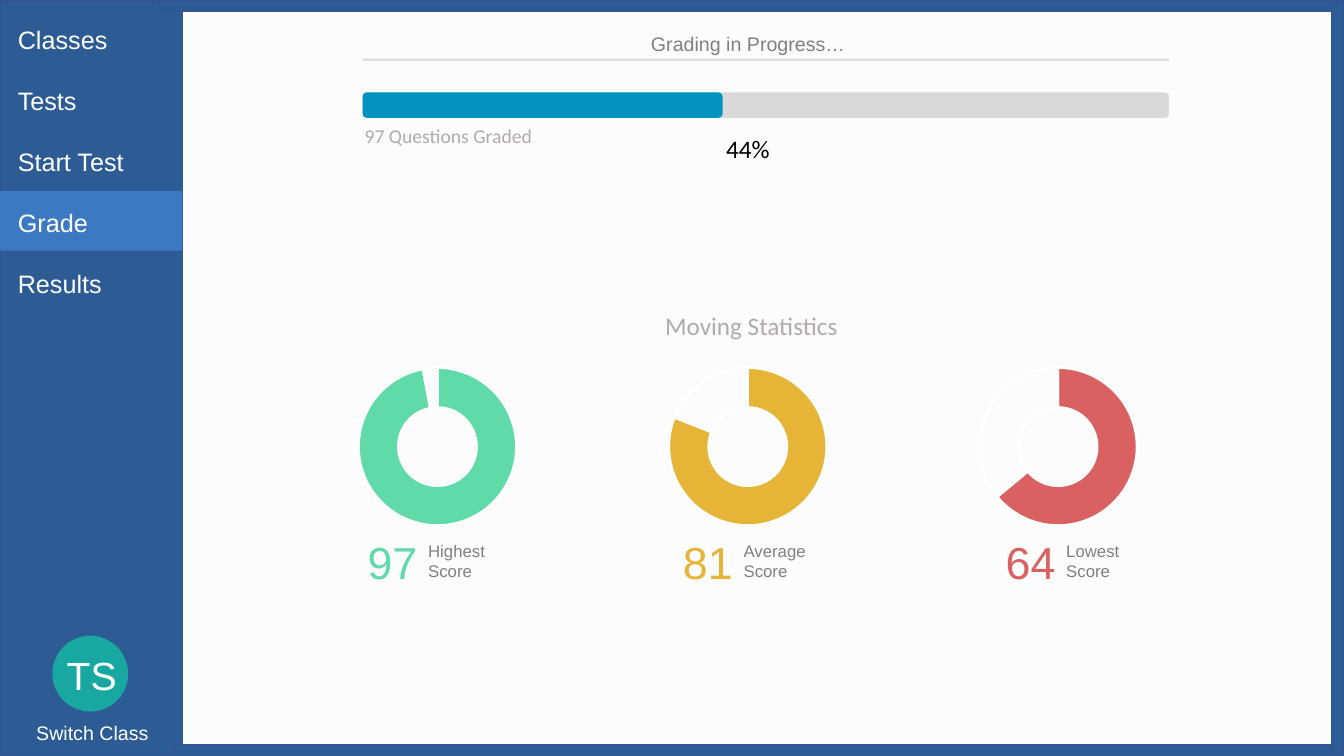
from pptx import Presentation
from pptx.chart.data import CategoryChartData
from pptx.dml.color import RGBColor
from pptx.enum import chart as charts, shapes, text
from pptx.util import Cm, Pt

COLORS = {
    "page": "FCFCFC", "frame": "2D5B93", "frame_edge": "325491",
    "selected": "3C79C2", "avatar": "18A8A1", "track": "D9D9D9",
    "progress": "0092C0", "gray": "808080", "pale": "AFABAB",
    "white": "FFFFFF", "black": "000000",
    "highest": "60DAA9", "average": "E6B436", "lowest": "D96161",
}
LEFT, CENTER, RIGHT = text.PP_ALIGN.LEFT, text.PP_ALIGN.CENTER, text.PP_ALIGN.RIGHT
RECT = shapes.MSO_SHAPE.RECTANGLE
ROUNDED = shapes.MSO_SHAPE.ROUNDED_RECTANGLE
OVAL = shapes.MSO_SHAPE.OVAL


def add_panel(kind, box, color, edge=None):
    panel = slide.shapes.add_shape(kind, *map(Cm, box))
    panel.shadow.inherit = False
    panel.fill.solid()
    panel.fill.fore_color.rgb = RGBColor.from_string(COLORS[color])
    if edge:
        panel.line.color.rgb = RGBColor.from_string(COLORS[edge])
        panel.line.width = Pt(1)
    else:
        panel.line.fill.background()


def write(holder, box, lines, size, color, font="Arial", align=LEFT, gap=0):
    holder.left, holder.top, holder.width, holder.height = map(Cm, box)
    frame = holder.text_frame
    frame.word_wrap = True
    frame.auto_size = text.MSO_AUTO_SIZE.NONE
    frame.vertical_anchor = text.MSO_ANCHOR.TOP
    for index, line in enumerate(lines):
        paragraph = frame.add_paragraph() if index else frame.paragraphs[0]
        paragraph.alignment = align
        paragraph.space_before = Pt(gap if index else 0)
        run = paragraph.add_run()
        run.text = line
        run.font.size = Pt(size)
        run.font.name = font
        run.font.color.rgb = RGBColor.from_string(COLORS[color])


prs = Presentation()
prs.slide_width, prs.slide_height = Cm(33.87), Cm(19.05)
slide = prs.slides.add_slide(prs.slide_layouts[5])
slide.background.fill.solid()
slide.background.fill.fore_color.rgb = RGBColor.from_string(COLORS["page"])

frame_bars = [
    (0, 0, 4.6, 19.05),
    (4.02, 0, 29.85, 0.28),
    (4.4, 18.76, 29.47, 0.28),
    (33.55, 0, 0.32, 19.05),
]
for bar in frame_bars:
    add_panel(RECT, bar, "frame", "frame_edge")
add_panel(RECT, (0, 4.82, 4.6, 1.5), "selected")

write(slide.shapes.title, (15.72, 0.68, 6.27, 0.86), ["Grading in Progress…"],
      14, "gray", align=CENTER)
add_panel(RECT, (9.14, 1.48, 20.32, 0.05), "track")

add_panel(OVAL, (1.32, 16.02, 1.91, 1.91), "avatar")
add_panel(ROUNDED, (9.14, 2.33, 20.32, 0.64), "track")
add_panel(ROUNDED, (9.14, 2.33, 9.07, 0.64), "progress")

captions = [
    ((1.42, 16.3, 1.78, 1.45), ["TS"], 28, "white", "Arial", CENTER),
    ((0.63, 18.03, 3.4, 0.86), ["Switch Class"], 14, "white", "Arial", CENTER),
    ((17.58, 3.23, 2.54, 1.02), ["44%"], 18, "black", "Calibri", CENTER),
    ((8.94, 3, 6.1, 0.86), ["97 Questions Graded"], 14, "pale", "Calibri", LEFT),
    ((13.51, 7.7, 10.85, 1.02), ["Moving Statistics"], 18, "pale", "Calibri", CENTER),
]
for caption in captions:
    write(slide.shapes.add_textbox(0, 0, 0, 0), *caption)

menu = ["Classes", "Tests", "Start Test", "Grade", "Results"]
write(slide.shapes.add_textbox(0, 0, 0, 0), (0.2, 0.48, 4.2, 7.19), menu,
      18, "white", gap=22)

statistics = [("highest", 97, 10.54), ("average", 81, 18.49), ("lowest", 64, 26.62)]
for index, (level, score, label_left) in enumerate(statistics):
    data = CategoryChartData()
    data.categories = ["1", "2"]
    data.add_series("Series 1", [score, 100 - score])
    ring = slide.shapes.add_chart(
        charts.XL_CHART_TYPE.DOUGHNUT, Cm(8.69 + 7.82 * index), Cm(8.92),
        Cm(4.67), Cm(4.67), data).chart
    ring.has_legend = False
    ring.has_title = False
    ring.font.size = Pt(10)
    ring.font.name = "Calibri"
    ring.font.color.rgb = RGBColor.from_string(COLORS["black"])
    ring.plots[0].vary_by_categories = True
    for hole in ring.element.xpath(".//c:holeSize"):
        hole.set("val", "75")
    earned, missing = (ring.plots[0].series[0].points[i].format for i in range(2))
    earned.fill.solid()
    earned.fill.fore_color.rgb = RGBColor.from_string(COLORS[level])
    missing.fill.background()
    for part in (earned, missing):
        part.line.color.rgb = RGBColor.from_string(COLORS["white"])
        part.line.width = Pt(1.5)

    write(slide.shapes.add_textbox(0, 0, 0, 0), (label_left - 1.75, 13.35, 1.98, 1.63),
          [str(score)], 32, level, align=RIGHT)
    write(slide.shapes.add_textbox(0, 0, 0, 0), (label_left, 13.5, 2.36, 1.27),
          [level.capitalize(), "Score"], 12, "gray")

prs.save("out.pptx")
